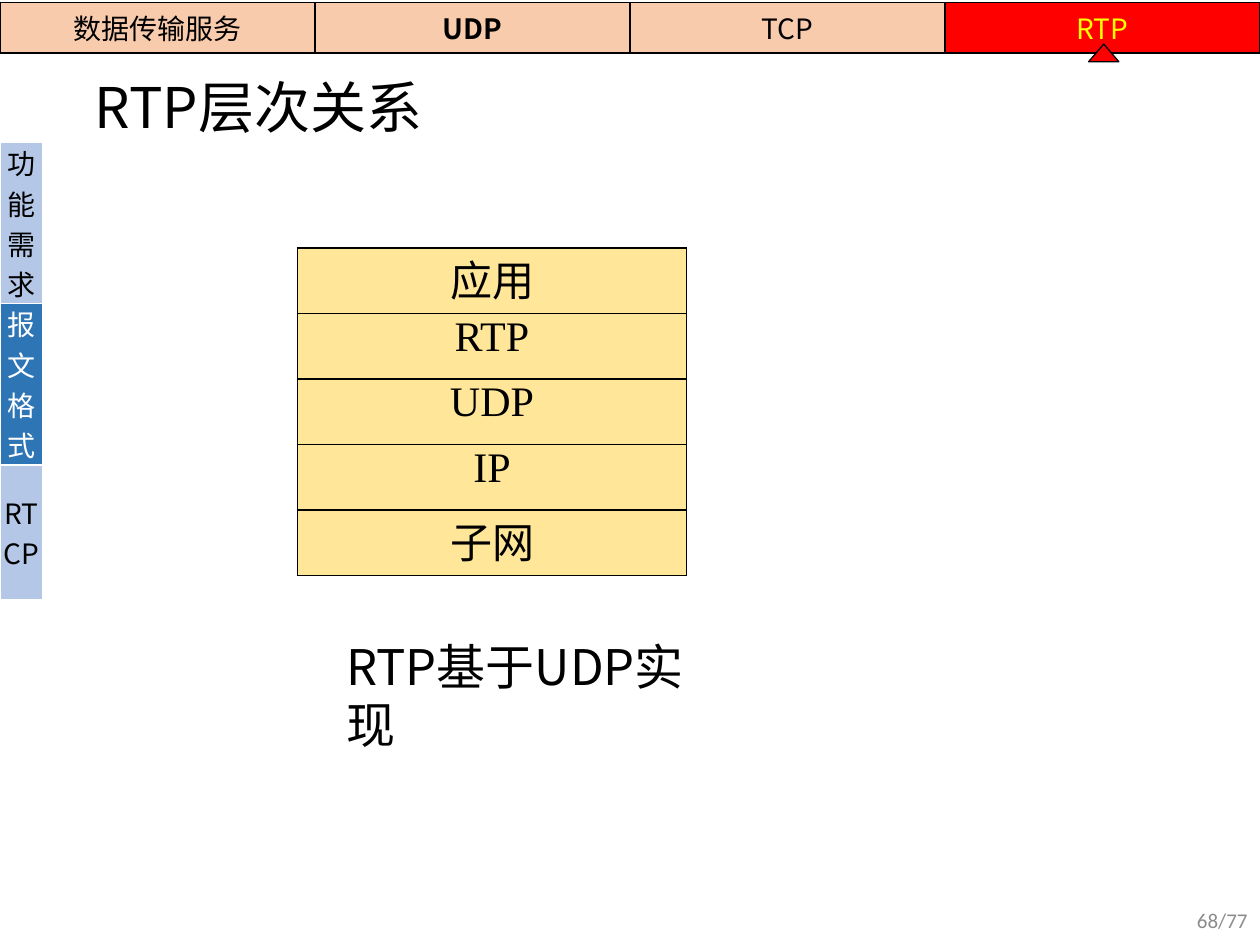
from dataclasses import dataclass

import pptx
import pptx.dml.color
import pptx.enum.shapes
import pptx.enum.text
import pptx.oxml.ns
import pptx.util
from lxml import etree

Inches = pptx.util.Inches
Align = pptx.enum.text.PP_ALIGN
Anchor = pptx.enum.text.MSO_ANCHOR

SANS = "Noto Sans CJK SC"
BLACK, WHITE, RED = "000000", "FFFFFF", "FF0000"
PEACH, PALE_BLUE, BLUE, SAND = "F8CBAD", "B4C7E7", "2E75B6", "FFE699"


@dataclass
class TextStyle:
    size: float
    color: str = BLACK
    font: str = SANS
    bold: bool = False
    align: Align = Align.LEFT
    line_spacing: float = 1.0


@dataclass
class Entry:
    text: str
    fill: str
    color: str = BLACK
    bold: bool = False


@dataclass
class Grid:
    left: float
    top: float
    widths: list[float]
    heights: list[float]
    entries: list[Entry]
    size: float
    border: str = BLACK
    font: str = SANS
    anchor: Anchor = Anchor.MIDDLE
    side_margin: float = 0


def rgb(color: str) -> pptx.dml.color.RGBColor:
    return pptx.dml.color.RGBColor.from_string(color)


def apply_format(target: object, values: dict[str, object]) -> None:
    for name, value in values.items():
        setattr(target, name, value)


def write(frame: pptx.text.text.TextFrame, text: str, style: TextStyle) -> None:
    """Fill a text frame, one paragraph for each line of the text."""
    frame.text = text
    for paragraph in frame.paragraphs:
        apply_format(paragraph, {"alignment": style.align, "line_spacing": style.line_spacing})
        for run in paragraph.runs:
            apply_format(run.font, {"size": pptx.util.Pt(style.size), "bold": style.bold,
                                    "name": style.font})
            run.font.color.rgb = rgb(style.color)
            east_asian = etree.SubElement(run.font._element, pptx.oxml.ns.qn("a:ea"))
            east_asian.set("typeface", SANS)


def add_border(cell: pptx.table._Cell, color: str) -> None:
    """Draw all four sides; must run before the cell gets its fill."""
    properties = cell._tc.get_or_add_tcPr()
    for side in "LRTB":
        line = etree.SubElement(properties, pptx.oxml.ns.qn(f"a:ln{side}"),
                                w=str(pptx.util.Pt(1)))
        fill = etree.SubElement(line, pptx.oxml.ns.qn("a:solidFill"))
        etree.SubElement(fill, pptx.oxml.ns.qn("a:srgbClr"), val=color)


def add_grid(slide: pptx.slide.Slide, grid: Grid) -> None:
    table = slide.shapes.add_table(
        len(grid.heights), len(grid.widths), Inches(grid.left), Inches(grid.top),
        Inches(sum(grid.widths)), Inches(sum(grid.heights))).table
    apply_format(table, {"first_row": False, "horz_banding": False})
    for column, width in zip(table.columns, grid.widths):
        column.width = Inches(width)
    for row, height in zip(table.rows, grid.heights):
        row.height = Inches(height)
    for cell, entry in zip(table.iter_cells(), grid.entries):
        add_border(cell, grid.border)
        cell.fill.solid()
        cell.fill.fore_color.rgb = rgb(entry.fill)
        apply_format(cell, {"vertical_anchor": grid.anchor,
                            "margin_left": Inches(grid.side_margin),
                            "margin_right": Inches(grid.side_margin),
                            "margin_top": 0, "margin_bottom": 0})
        write(cell.text_frame, entry.text,
              TextStyle(grid.size, entry.color, grid.font, entry.bold, Align.CENTER))


def add_text(slide: pptx.slide.Slide, box: tuple[float, float, float, float], text: str,
             style: TextStyle, anchor: Anchor = Anchor.MIDDLE) -> None:
    frame = slide.shapes.add_textbox(*map(Inches, box)).text_frame
    apply_format(frame, {"word_wrap": True, "vertical_anchor": anchor})
    write(frame, text, style)


def add_tab_marker(slide: pptx.slide.Slide) -> None:
    marker = slide.shapes.add_shape(
        pptx.enum.shapes.MSO_SHAPE.FLOWCHART_EXTRACT,
        Inches(8.64), Inches(0.35), Inches(0.24), Inches(0.14))
    marker.shadow.inherit = False
    marker.fill.solid()
    marker.fill.fore_color.rgb = rgb(RED)
    marker.line.color.rgb = rgb(BLACK)
    marker.line.width = pptx.util.Pt(0.75)


def main() -> None:
    presentation = pptx.Presentation()
    apply_format(presentation, {"slide_width": Inches(10), "slide_height": Inches(7.5)})
    slide = presentation.slides.add_slide(presentation.slide_layouts[6])

    chapters = [Entry("数据传输服务", PEACH), Entry("UDP", PEACH, bold=True),
                Entry("TCP", PEACH), Entry("RTP", RED, "FFFF00")]
    sections = [Entry("功能需求", PALE_BLUE), Entry("报文格式", BLUE, WHITE),
                Entry("RT\nCP", PALE_BLUE)]
    layers = [Entry(name, SAND) for name in ("应用", "RTP", "UDP", "IP", "子网")]

    add_grid(slide, Grid(0, 0.02, [2.5] * 4, [0.4], chapters, 16))
    add_tab_marker(slide)
    add_text(slide, (0.65, 0.49, 8.22, 0.77), "RTP层次关系", TextStyle(32, line_spacing=0.9))
    add_grid(slide, Grid(0, 1.13, [0.34], [1.28, 1.28, 1.07], sections, 16, WHITE))
    add_grid(slide, Grid(2.36, 1.97, [3.09], [0.52] * 5, layers, 24, font="Times New Roman",
                         anchor=Anchor.TOP, side_margin=0.07))
    add_text(slide, (2.65, 5, 2.95, 0.57), "RTP基于UDP实现", TextStyle(28), Anchor.TOP)
    add_text(slide, (7.75, 7.1, 2.25, 0.4), "68/77",
             TextStyle(12, "8C8C8C", "Calibri", align=Align.RIGHT))

    presentation.save("out.pptx")


if __name__ == "__main__":
    main()
